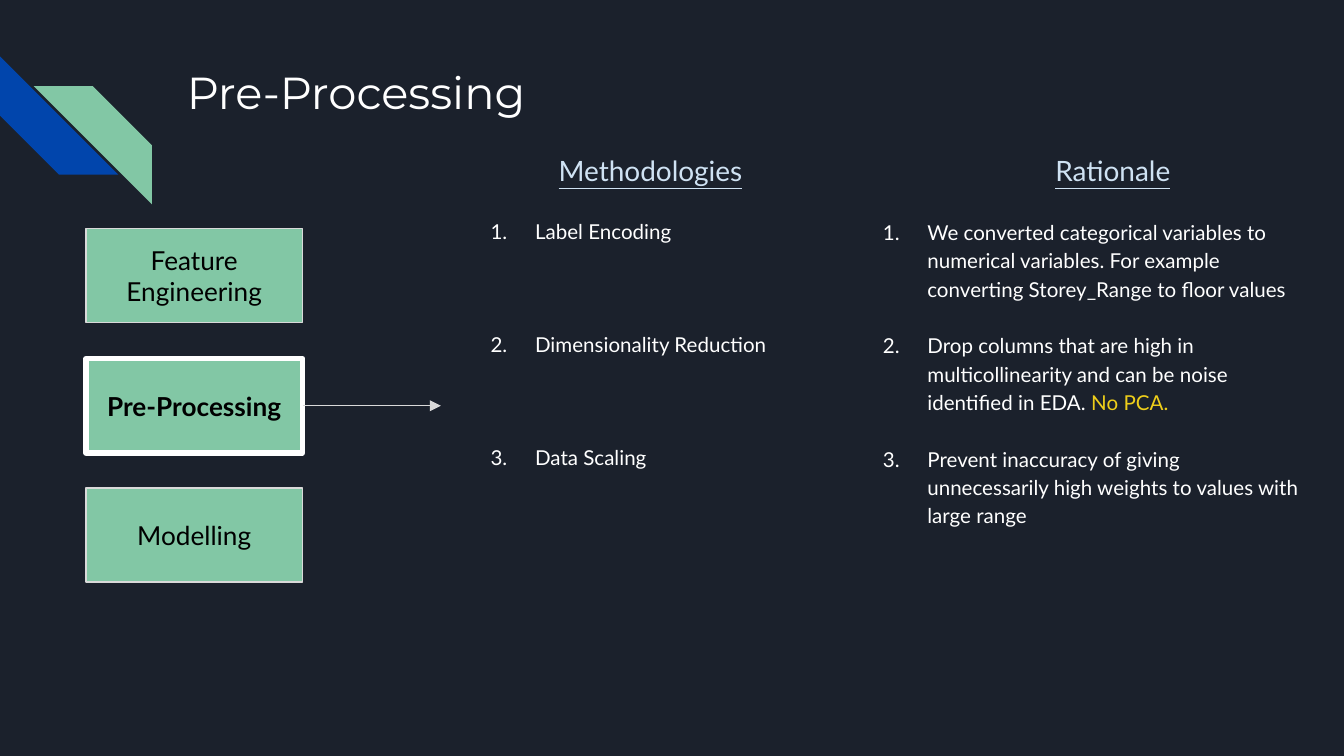
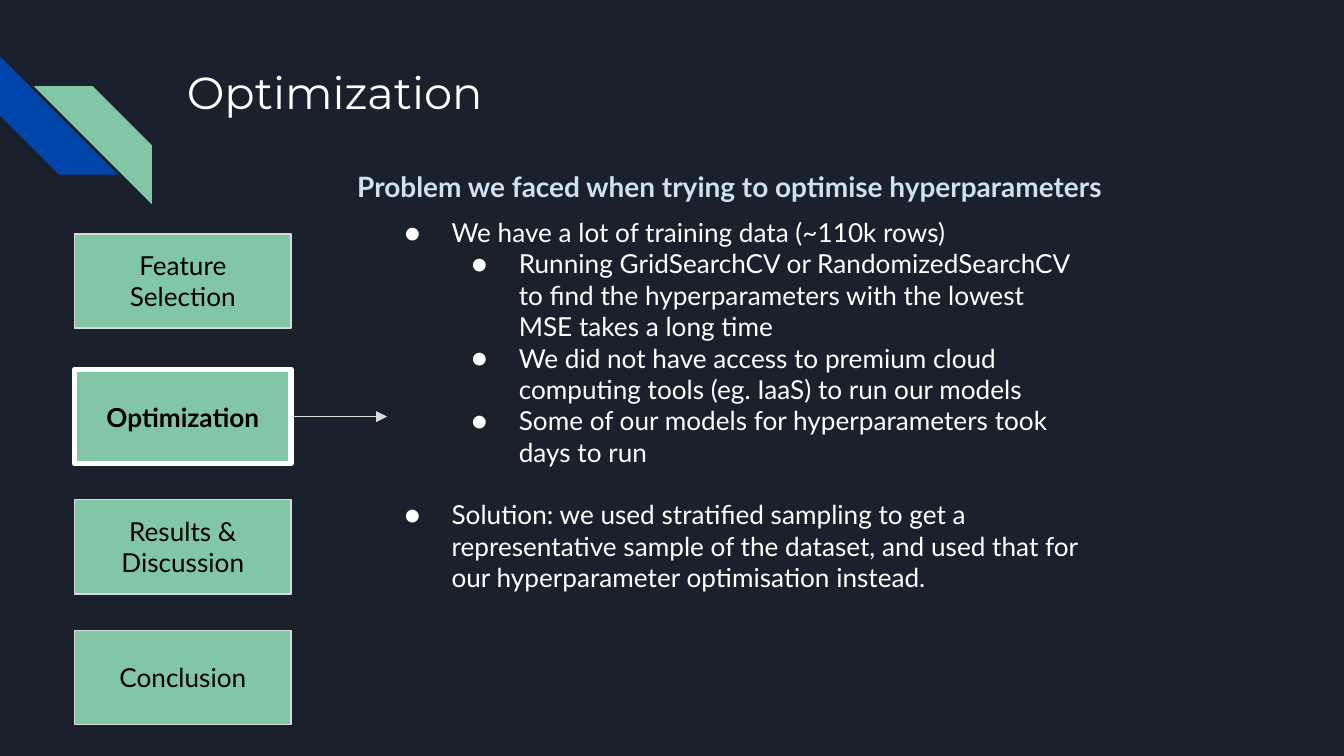
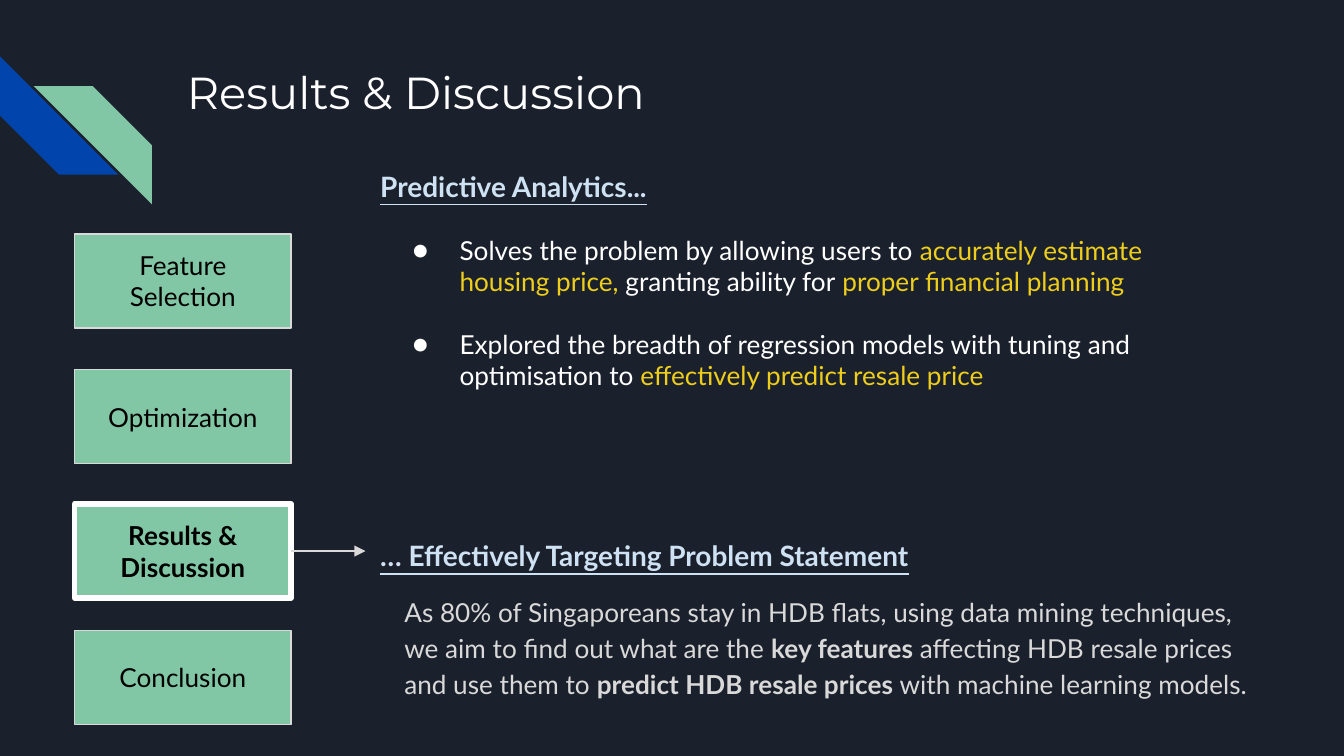
from lxml import etree
from pptx import Presentation
from pptx.dml.color import RGBColor
from pptx.enum.shapes import MSO_CONNECTOR, MSO_SHAPE
from pptx.enum.text import MSO_ANCHOR, MSO_AUTO_SIZE, PP_ALIGN
from pptx.oxml.ns import qn
from pptx.util import Pt

RECT, STRIPE = MSO_SHAPE.RECTANGLE, MSO_SHAPE.DIAGONAL_STRIPE
LINE = MSO_CONNECTOR.STRAIGHT
TOP, MIDDLE = MSO_ANCHOR.TOP, MSO_ANCHOR.MIDDLE
LEFT, CENTER = PP_ALIGN.LEFT, PP_ALIGN.CENTER
FIXED = MSO_AUTO_SIZE.NONE

NAVY, BLUE, GREEN = "1B212C", "0145AC", "82C7A5"
WHITE, BLACK, GRAY = "FFFFFF", "000000", "D9D9D9"
PALE, GOLD = "CFE2F3", "EECE1A"
INSET = 7.2
STEP_W, STEP_H = 116, 50.4
TOPS = [125.3, 198, 267.8, 337.7]


def color(code):
    """Turn a hex string into a colour."""
    return RGBColor.from_string(code)


def paint(fill, code):
    """Make a fill solid in one colour."""
    fill.solid()
    fill.fore_color.rgb = color(code)


def place(shape, box):
    """Move a shape to a box of left, top, width and height in points."""
    shape.left, shape.top, shape.width, shape.height = [Pt(n) for n in box]


def setup(frame, anchor=TOP):
    """Give a text frame the shared insets, wrapping and anchor."""
    frame.margin_left = frame.margin_right = Pt(INSET)
    frame.margin_top = frame.margin_bottom = Pt(INSET)
    frame.word_wrap = True
    frame.auto_size = FIXED
    frame.vertical_anchor = anchor


def style(run, size, code, bold=False, under=False, face="Lato"):
    """Format one run."""
    font = run.font
    font.name, font.size = face, Pt(size)
    font.bold, font.underline = bold, under
    font.color.rgb = color(code)


def write(par, text, size, code, accent, align=LEFT, spacing=1.0, gap=0):
    """Write a paragraph whose starred parts take the accent format."""
    par.alignment, par.line_spacing = align, spacing
    par.space_before, par.space_after = Pt(gap), Pt(0)
    for i, part in enumerate(text.split("*")):
        if part:
            run = par.add_run()
            run.text = part
            style(run, size, **(accent if i % 2 else {"code": code}))


def mark(par, left, hang, number):
    """Hang a white number or dot in front of a paragraph."""
    props = par._p.get_or_add_pPr()
    props.set("marL", str(Pt(left)))
    props.set("indent", str(-Pt(hang)))
    tint = etree.SubElement(props, qn("a:buClr"))
    etree.SubElement(tint, qn("a:srgbClr"), val=WHITE)
    if number:
        etree.SubElement(props, qn("a:buFont"), typeface="Lato")
        etree.SubElement(props, qn("a:buAutoNum"), type="arabicPeriod")
    else:
        etree.SubElement(props, qn("a:buFont"), typeface="Lato")
        etree.SubElement(props, qn("a:buChar"), char="●")


def bullets(holder, box, items, size, spacing=1.0, hang=25.2, number=False):
    """Fill a body placeholder with items of text, level and gap above."""
    place(holder, box)
    frame = holder.text_frame
    setup(frame)
    for i, (text, level, gap) in enumerate(items):
        par = frame.add_paragraph() if i else frame.paragraphs[0]
        par.level = level
        write(par, text, size, WHITE, {"code": GOLD}, spacing=spacing, gap=gap)
        mark(par, 36 * (level + 1), hang, number)


def label(slide, box, text, size, code, accent=None, **look):
    """Add a text box holding one paragraph."""
    shape = slide.shapes.add_textbox(*[Pt(n) for n in box])
    setup(shape.text_frame)
    write(shape.text_frame.paragraphs[0], text, size, code, accent, **look)
    return shape


def heading(slide, box, text, align=LEFT, bold=True, under=True):
    """Add a pale heading above a region."""
    shape = label(slide, box, text, 15, PALE, align=align)
    for run in shape.text_frame.paragraphs[0].runs:
        style(run, 15, PALE, bold, under)


def step(slide, left, top, text, active):
    """Add one box of the step list."""
    box = slide.shapes.add_shape(RECT, Pt(left), Pt(top), Pt(STEP_W), Pt(STEP_H))
    box.shadow.inherit = False
    paint(box.fill, GREEN)
    box.line.color.rgb = color(WHITE if active else GRAY)
    box.line.width = Pt(3 if active else 0.75)
    frame = box.text_frame
    setup(frame, MIDDLE)
    frame.text = text
    for par in frame.paragraphs:
        par.alignment = CENTER
        for run in par.runs:
            style(run, 14, BLACK, bold=active)


def arrow(slide, start, end, mid):
    """Add a level arrow between two positions."""
    line = slide.shapes.add_connector(LINE, Pt(start), Pt(mid), Pt(end), Pt(mid))
    line.line.color.rgb = color(GRAY)
    line.line.width = Pt(0.75)
    etree.SubElement(line.line._get_or_add_ln(), qn("a:tailEnd"), type="triangle")
    etree.SubElement(line.element.spPr, qn("a:effectLst"))


def steps(slide, left, tops, names, active, tip):
    """Stack the step boxes and point from the active one to the content."""
    for i, (top, name) in enumerate(zip(tops, names)):
        step(slide, left, top, name, i == active)
    arrow(slide, left + STEP_W, tip, tops[active] + STEP_H / 2)


def stripe(slide, left, top, code):
    """Add one diagonal stripe of the corner motif."""
    shape = slide.shapes.add_shape(STRIPE, Pt(left), Pt(top), Pt(63.4), Pt(63.4))
    shape.shadow.inherit = False
    paint(shape.fill, code)
    shape.line.fill.background()
    return shape


def theme(deck, slide):
    """Give the master its background and corner motif."""
    master = deck.slide_master
    paint(master.background.fill, NAVY)
    blue = stripe(slide, 0, 30.2, BLUE)
    blue.rotation = 270
    green = stripe(slide, 18, 46.1, GREEN)
    green.element.spPr.xfrm.set("flipH", "1")
    for i, shape in enumerate([blue, green]):
        shape.element.nvSpPr.cNvPr.set("id", str(90 + i))
        master.shapes.element.insert(2 + i, shape.element)


def start(deck, layout, title):
    """Add a slide with its title."""
    slide = deck.slides.add_slide(deck.slide_layouts[layout])
    holder = slide.shapes.title
    place(holder, (92.9, 27.4, 554.4, 38.2))
    frame = holder.text_frame
    setup(frame)
    frame.text = title
    par = frame.paragraphs[0]
    par.alignment = LEFT
    style(par.runs[0], 24, WHITE, face="Montserrat")
    return slide


def prep(deck):
    """Build the pre-processing slide."""
    slide = start(deck, 3, "Pre-Processing")
    theme(deck, slide)
    names = ["Feature Engineering", "Pre-Processing", "Modelling"]
    steps(slide, 46.1, [122.4, 192.2, 261.4], names, 1, 236.2)
    heading(slide, (243.4, 74.9, 210.2, 28.8), "Methodologies", CENTER, False)
    heading(slide, (488.2, 74.9, 216, 28.8), "Rationale", CENTER, False)
    ways = [
        ("Label Encoding", 0, 0),
        ("Dimensionality Reduction", 0, 45.5),
        ("Data Scaling", 0, 45.5),
    ]
    causes = [
        ("We converted categorical variables to numerical variables. "
         "For example converting Storey_Range to floor values", 0, 0),
        ("Drop columns that are high in multicollinearity and can be noise "
         "identified in EDA. *No PCA.*", 0, 15.2),
        ("Prevent inaccuracy of giving unnecessarily high weights to values "
         "with large range", 0, 15.2),
    ]
    boxes = [(243.4, 108, 210.2, 256.3), (453.6, 108.7, 253.4, 269.3)]
    for i, (box, items) in enumerate(zip(boxes, [ways, causes])):
        bullets(slide.placeholders[i + 1], box, items, 11, 1.15, 23.8, True)


def tuning(deck):
    """Build the optimization slide."""
    slide = start(deck, 1, "Optimization")
    names = ["Feature Selection", "Optimization", "Results & Discussion", "Conclusion"]
    steps(slide, 40, TOPS, names, 1, 207.4)
    heading(slide, (184.3, 83.5, 499.7, 36),
            "Problem we faced when trying to optimise hyperparameters", under=False)
    items = [
        ("We have a lot of training data (~110k rows)", 0, 0),
        ("Running GridSearchCV or RandomizedSearchCV to find the "
         "hyperparameters with the lowest MSE takes a long time", 1, 0),
        ("We did not have access to premium cloud computing tools (eg. IaaS) "
         "to run our models", 1, 0),
        ("Some of our models for hyperparameters took days to run", 1, 0),
        ("Solution: we used stratified sampling to get a representative sample "
         "of the dataset, and used that for our hyperparameter optimisation "
         "instead.", 0, 16.8),
    ]
    bullets(slide.placeholders[1], (198.7, 108.7, 387.4, 247.7), items, 14)


def results(deck):
    """Build the results slide."""
    slide = start(deck, 1, "Results & Discussion")
    names = ["Feature Selection", "Optimization", "Results &\nDiscussion", "Conclusion"]
    steps(slide, 40, TOPS[:2] + [270] + TOPS[3:], names, 2, 195.8)
    heads = ["Predictive Analytics...", "… Effectively Targeting Problem Statement"]
    for top, text in zip([83.5, 281.5], heads):
        heading(slide, (196.6, top, 361.4, 36), text)
    items = [
        ("Solves the problem by allowing users to *accurately estimate housing "
         "price,* granting ability for* proper financial planning*", 0, 0),
        ("Explored the breadth of regression models with tuning and "
         "optimisation to *effectively predict resale price*", 0, 16.8),
    ]
    bullets(slide.placeholders[1], (203, 118.1, 446.4, 28.1), items, 14)
    label(slide, (209.5, 309.6, 476.6, 50.4),
          "As 80% of Singaporeans stay in HDB flats, using data mining "
          "techniques, we aim to find out what are the *key features* affecting "
          "HDB resale prices and use them to *predict HDB resale prices* with "
          "machine learning models.",
          14, GRAY, {"code": GRAY, "bold": True}, spacing=1.15)


def main():
    """Build and save the deck."""
    deck = Presentation()
    deck.slide_width, deck.slide_height = Pt(720), Pt(405)
    prep(deck)
    tuning(deck)
    results(deck)
    deck.save("out.pptx")


if __name__ == "__main__":
    main()
